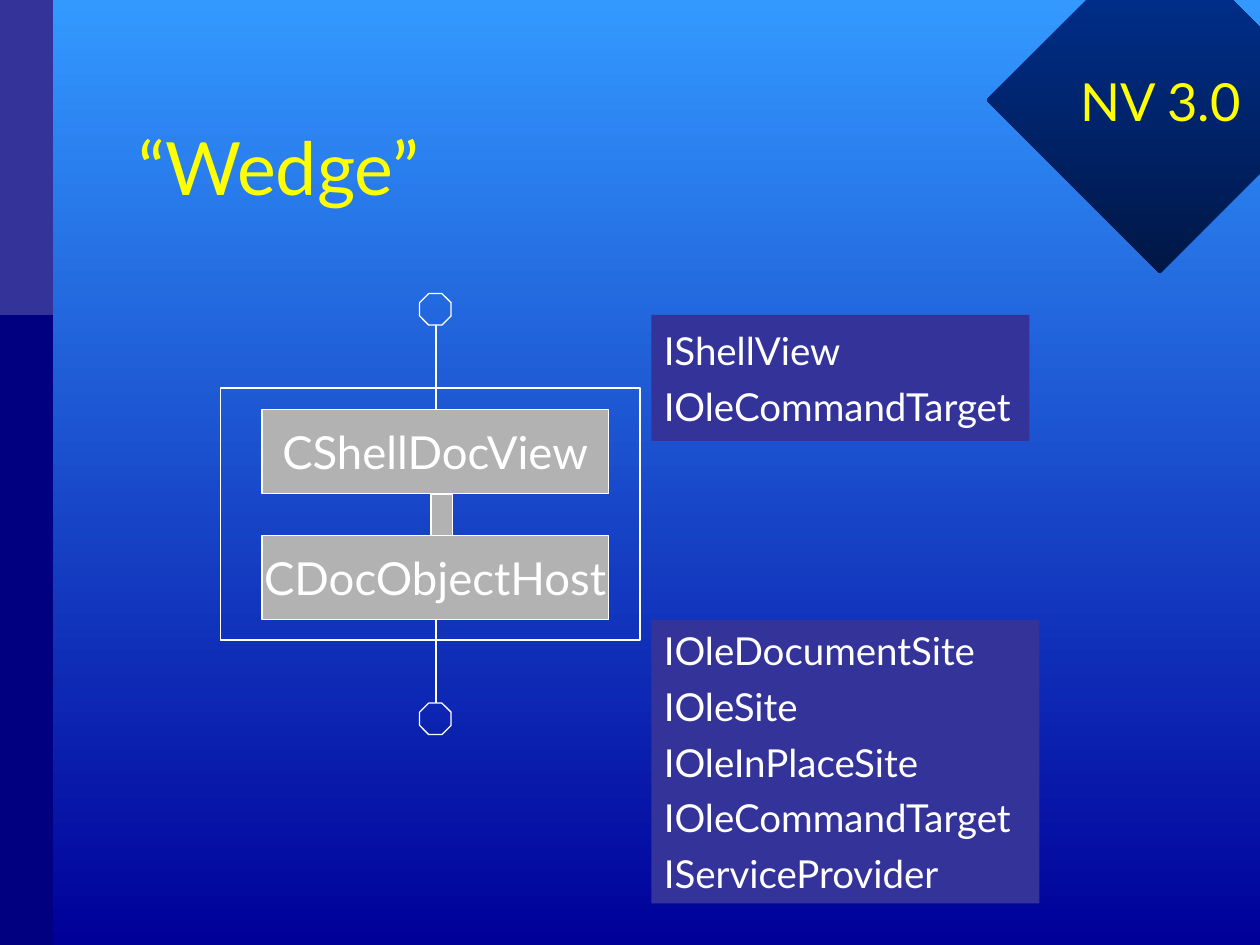
from pptx import Presentation
from pptx import util as u
from pptx.dml.color import RGBColor
from pptx.enum import shapes, text
from pptx.oxml.ns import qn
from lxml import etree

hues = {
    "sky": "3399FF", "deep": "000099", "blue": "003399", "night": "001746",
    "navy": "000080", "plum": "333399", "gray": "B2B2B2",
    "white": "FFFFFF", "gold": "FFFF00",
}
rgb = {name: RGBColor.from_string(code) for name, code in hues.items()}
kind = shapes.MSO_SHAPE
left, mid = text.PP_ALIGN.LEFT, text.PP_ALIGN.CENTER

deck = Presentation()
deck.slide_width, deck.slide_height = u.Inches(10), u.Inches(7.5)
slide = deck.slides.add_slide(deck.slide_layouts[6])


def draw(form, box, fill=None, line=None):
    part = slide.shapes.add_shape(form, *map(u.Inches, box))
    part.shadow.inherit = False
    if fill:
        part.fill.solid()
        part.fill.fore_color.rgb = rgb[fill]
    else:
        part.fill.background()
    if line:
        part.line.color.rgb = rgb[line]
        part.line.width = u.Pt(0.75)
    else:
        part.line.fill.background()
    return part


def write(part, lines, size, hue, align, gap=0, lead=1.0, wrap=False):
    frame = part.text_frame
    frame.word_wrap = wrap
    frame.vertical_anchor = text.MSO_ANCHOR.MIDDLE
    for i, words in enumerate(lines):
        para = frame.add_paragraph() if i else frame.paragraphs[0]
        para.alignment = align
        para.space_before = u.Pt(gap)
        para.line_spacing = lead
        run = para.add_run()
        run.text = words
        run.font.size = u.Pt(size)
        run.font.name = "Lato"
        run.font.color.rgb = rgb[hue]


gem = draw(kind.DIAMOND, (7.83, -0.58, 2.75, 2.75))
for fill, pair in ((slide.background.fill, ("sky", "deep")),
                   (gem.fill, ("blue", "night"))):
    fill.gradient()
    fill.gradient_angle = 270
    for stop, hue, spot in zip(fill.gradient_stops, pair, (0, 1)):
        stop.color.rgb = rgb[hue]
        stop.position = spot

for high, hue in ((7.5, "navy"), (2.5, "plum")):
    draw(kind.RECTANGLE, (0, 0, 0.42, high), hue)

draw(kind.RECTANGLE, (1.75, 3.08, 3.33, 2), line="white")

for words, box, size, align in (
    ("“Wedge”", (1, 0.75, 8, 1.25), 42, left),
    ("NV 3.0", (8.42, 0.25, 1.58, 1.17), 30, mid),
):
    label = slide.shapes.add_textbox(*map(u.Inches, box))
    write(label, [words], size, "gold", align, lead=0.85, wrap=True)

for words, top in (("CShellDocView", 3.25), ("CDocObjectHost", 4.25)):
    block = draw(kind.RECTANGLE, (2.08, top, 2.75, 0.67), "gray", "white")
    write(block, [words], 26, "white", mid, gap=6.5)
draw(kind.RECTANGLE, (3.42, 3.92, 0.17, 0.33), "gray", "white")

for start, end, top in ((3.25, 2.58, 2.33), (4.92, 5.58, 5.58)):
    stem = slide.shapes.add_connector(
        shapes.MSO_CONNECTOR.STRAIGHT,
        *map(u.Inches, (3.46, start, 3.46, end)))
    stem.line.color.rgb = rgb["white"]
    stem.line.width = u.Pt(0.75)
    etree.SubElement(stem._element.spPr, qn("a:effectLst"))
    knob = draw(kind.OCTAGON, (3.33, top, 0.25, 0.25), line="white")
    knob.adjustments[0] = 0.29

for lines, box in (
    (("IShellView", "IOleCommandTarget"), (5.17, 2.5, 3, 1)),
    (("IOleDocumentSite", "IOleSite", "IOleInPlaceSite",
      "IOleCommandTarget", "IServiceProvider"), (5.17, 4.92, 3.08, 2.25)),
):
    panel = draw(kind.RECTANGLE, box, "plum")
    write(panel, lines, 22, "white", left, gap=5.5)

deck.save("out.pptx")
